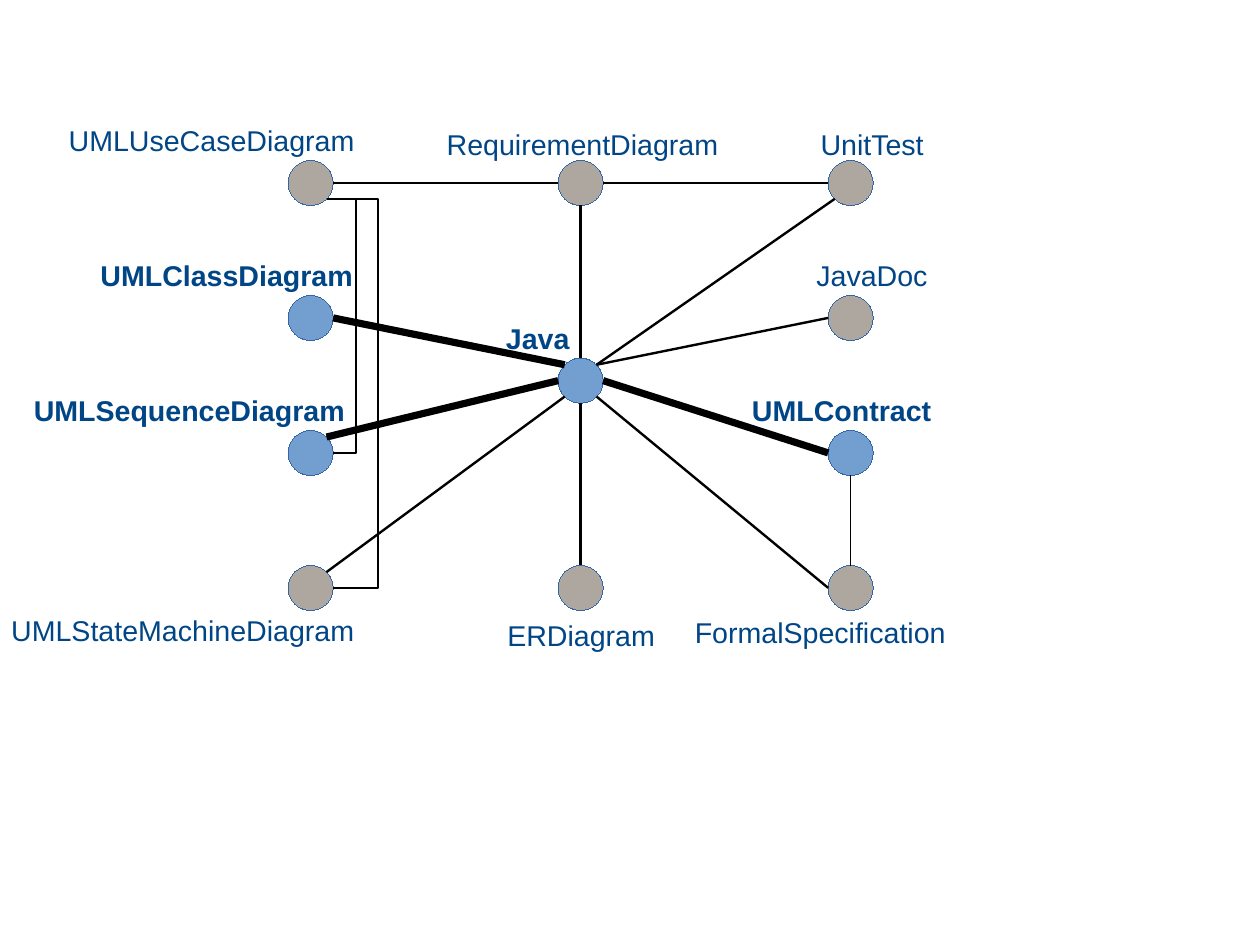
from collections import namedtuple
from math import cos, radians, sin

from lxml import etree
from pptx import Presentation
from pptx.dml.color import RGBColor
from pptx.enum import shapes, text
from pptx.oxml import ns
from pptx.util import Pt

NAVY = RGBColor(0x00, 0x45, 0x86)
BLUE = RGBColor(0x72, 0x9F, 0xCF)
OUTLINE = RGBColor(0x34, 0x65, 0xA4)
GREY = RGBColor(0xAE, 0xA7, 0x9F)
BLACK = RGBColor(0x00, 0x00, 0x00)

RADIUS = 14.17
LEFT, CENTRE, RIGHT = (195.7 + 170.08 * column for column in range(3))
ROWS = [115.25 + 85.04 * row for row in range(4)]
JAVA_ROW = 239.8
ANGLES = {"E": 0, "SE": 45, "S": 90, "SW": 135, "W": 180, "NW": 225, "N": 270, "NE": 315}
HAIRLINE, NORMAL, THICK = 0.01, 1.5, 4.5

Node = namedtuple("Node", "x y label_left label_top label_width key", defaults=[False])

NODES = {
    "UMLUseCaseDiagram": Node(LEFT, ROWS[0], 36.2, 73.8, 196),
    "RequirementDiagram": Node(CENTRE, ROWS[0], 274.3, 76.3, 187),
    "UnitTest": Node(RIGHT, ROWS[0], 509.8, 76.3, 81),
    "UMLClassDiagram": Node(LEFT, ROWS[1], 56.2, 158.8, 175, True),
    "JavaDoc": Node(RIGHT, ROWS[1], 507.2, 158.8, 86),
    "Java": Node(CENTRE, JAVA_ROW, 311.6, 198.7, 56, True),
    "UMLSequenceDiagram": Node(LEFT, ROWS[2], 14.2, 244.1, 212, True),
    "UMLContract": Node(RIGHT, ROWS[2], 466.6, 244.1, 129, True),
    "UMLStateMachineDiagram": Node(LEFT, ROWS[3], 0, 382.3, 232),
    "ERDiagram": Node(CENTRE, ROWS[3], 312.5, 385.6, 109),
    "FormalSpecification": Node(RIGHT, ROWS[3], 430.6, 383.8, 174),
}

STRAIGHT_EDGES = [
    ("Java", "NE", "JavaDoc", "W", NORMAL),
    ("Java", "E", "UMLContract", "W", THICK),
    ("Java", "W", "UMLSequenceDiagram", "NE", THICK),
    ("Java", "NW", "UMLClassDiagram", "E", THICK),
    ("UMLUseCaseDiagram", "E", "RequirementDiagram", "W", NORMAL),
    ("UnitTest", "SW", "Java", "NE", NORMAL),
    ("RequirementDiagram", "E", "UnitTest", "W", NORMAL),
    ("FormalSpecification", "W", "Java", "SE", NORMAL),
    ("FormalSpecification", "N", "UMLContract", "S", HAIRLINE),
    ("UMLStateMachineDiagram", "NE", "Java", "SW", NORMAL),
    ("ERDiagram", "N", "Java", "S", NORMAL),
    ("RequirementDiagram", "S", "Java", "N", NORMAL),
]

BENT_EDGES = [
    ("UMLUseCaseDiagram", "SE", "UMLSequenceDiagram", "E", 224.2),
    ("UMLUseCaseDiagram", "SE", "UMLStateMachineDiagram", "E", 238.2),
]


def apply(target, settings):
    """Set every named attribute on the target."""
    for name, value in settings.items():
        setattr(target, name, value)


def site(name, side):
    """Return the point on a node's rim at a compass side."""
    angle = radians(ANGLES[side])
    node = NODES[name]
    return node.x + RADIUS * cos(angle), node.y + RADIUS * sin(angle)


def add_node(page, node):
    """Draw the circle of a node."""
    circle = page.shapes.add_shape(
        shapes.MSO_SHAPE.OVAL, Pt(node.x - RADIUS), Pt(node.y - RADIUS),
        Pt(2 * RADIUS), Pt(2 * RADIUS))
    circle.shadow.inherit = False
    circle.fill.solid()
    circle.fill.fore_color.rgb = BLUE if node.key else GREY
    circle.line.color.rgb = OUTLINE
    circle.line.width = Pt(HAIRLINE)


def add_edge(page, start, start_side, end, end_side, width, bend=None):
    """Join two nodes, straight or by way of a vertical run at x = bend."""
    begin, finish = site(start, start_side), site(end, end_side)
    kind = shapes.MSO_CONNECTOR.ELBOW if bend else shapes.MSO_CONNECTOR.STRAIGHT
    edge = page.shapes.add_connector(kind, *map(Pt, begin + finish))
    edge.line.color.rgb = BLACK
    edge.line.width = Pt(width)
    properties = edge._element.spPr
    etree.SubElement(properties, ns.qn("a:effectLst"))
    if bend:
        ratio = (bend - begin[0]) / (finish[0] - begin[0])
        guides = properties.find(ns.qn("a:prstGeom")).get_or_add_avLst()
        guide = etree.SubElement(guides, ns.qn("a:gd"))
        guide.set("name", "adj1")
        guide.set("fmla", f"val {round(ratio * 100000)}")


def add_label(page, name, node):
    """Write the name of a node, bold for key nodes."""
    box = page.shapes.add_textbox(
        Pt(node.label_left), Pt(node.label_top), Pt(node.label_width), Pt(27.4))
    apply(box.text_frame, {
        "word_wrap": False,
        "auto_size": text.MSO_AUTO_SIZE.SHAPE_TO_FIT_TEXT,
        "margin_left": Pt(7.2), "margin_right": Pt(7.2),
        "margin_top": Pt(3.6), "margin_bottom": Pt(3.6),
    })
    span = box.text_frame.paragraphs[0].add_run()
    span.text = name
    apply(span.font, {"name": "Arial", "size": Pt(18), "bold": node.key})
    span.font.color.rgb = NAVY


def main():
    """Build the diagram of linked artefacts."""
    deck = Presentation()
    apply(deck, {"slide_width": Pt(793.7), "slide_height": Pt(595.3)})
    page = deck.slides.add_slide(deck.slide_layouts[6])
    for node in NODES.values():
        add_node(page, node)
    for edge in STRAIGHT_EDGES:
        add_edge(page, *edge)
    for *ends, bend in BENT_EDGES:
        add_edge(page, *ends, NORMAL, bend)
    for name, node in NODES.items():
        add_label(page, name, node)
    deck.save("out.pptx")


if __name__ == "__main__":
    main()
